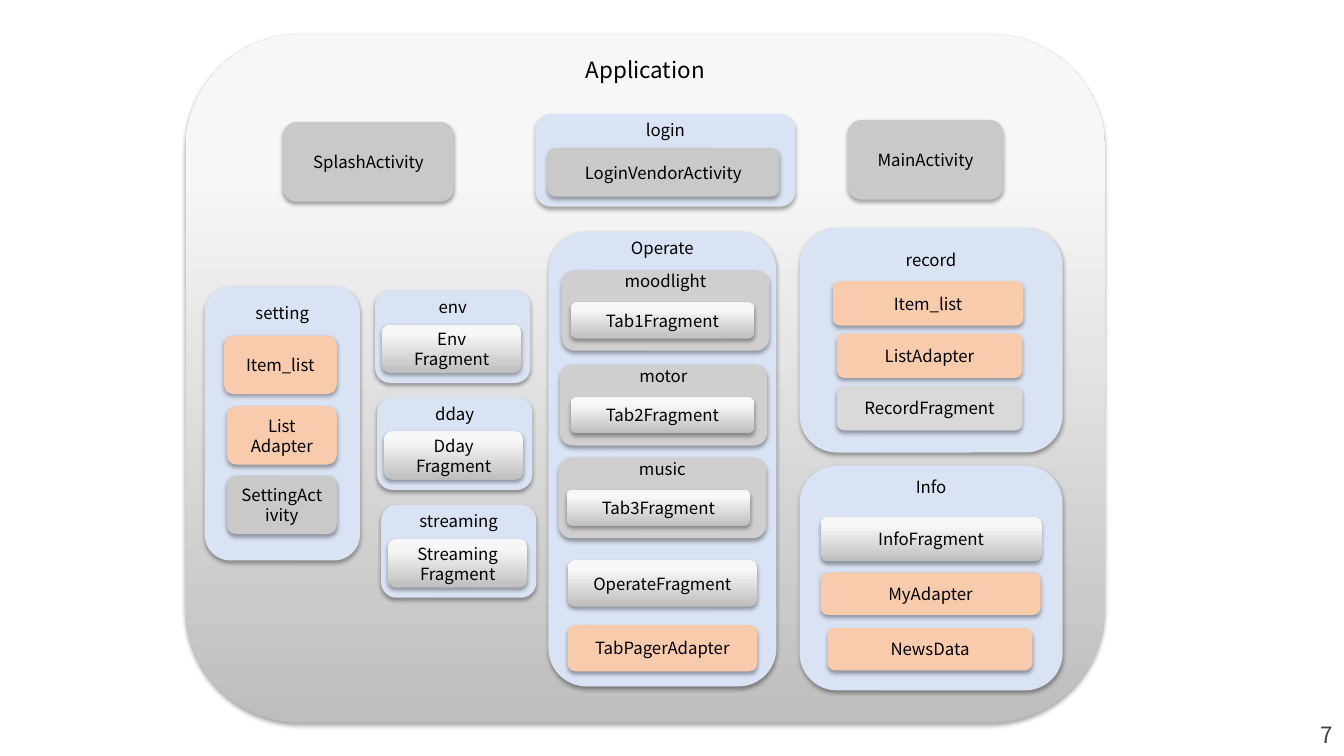
"""Build the slide showing the package structure of the application."""
from lxml import etree
from pptx import Presentation
from pptx.dml.color import RGBColor
from pptx.enum import shapes, text
from pptx.oxml import ns
from pptx.util import Inches, Pt

FONT = "Noto Sans CJK KR"
BLACK = RGBColor(0x00, 0x00, 0x00)
DARK_GRAY = RGBColor(0x40, 0x40, 0x40)
BLUE = RGBColor(0xDA, 0xE3, 0xF3)
ORANGE = RGBColor(0xF8, 0xCB, 0xAD)
GRAY = RGBColor(0xC9, 0xC9, 0xC9)
LIGHT_GRAY = RGBColor(0xD9, 0xD9, 0xD9)
WARM_GRAY = RGBColor(0xD0, 0xCE, 0xCE)
GRADIENT_BOTTOM = RGBColor(0xBE, 0xBE, 0xBE)
GRADIENT_TOP = RGBColor(0xF7, 0xF7, 0xF7)
GRADIENT = (GRADIENT_BOTTOM, GRADIENT_TOP)
CORNER_INSET = 0.29 / 6

presentation = Presentation()
presentation.slide_width = Inches(13.33)
presentation.slide_height = Inches(7.5)
slide = presentation.slides.add_slide(presentation.slide_layouts[6])


def write(shape, wording, size=12, color=BLACK):
    """Fill a shape with centred text."""
    shape.text_frame.text = wording
    for paragraph in shape.text_frame.paragraphs:
        paragraph.alignment = text.PP_ALIGN.CENTER
        for run in paragraph.runs:
            run.font.name = FONT
            run.font.size = Pt(size)
            run.font.color.rgb = color


def add_box(wording, left, top, width, height, fill, heading=None, size=12):
    """Add a shadowed rounded box; heading is the text's distance from the top."""
    shape = slide.shapes.add_shape(
        shapes.MSO_SHAPE.ROUNDED_RECTANGLE,
        Inches(left), Inches(top), Inches(width), Inches(height))
    if fill == GRADIENT:
        shape.fill.gradient()
        shape.fill.gradient_angle = 90
        for stop, color, position in zip(shape.fill.gradient_stops, fill, (0, 0.8)):
            stop.color.rgb = color
            stop.position = position
    else:
        shape.fill.solid()
        shape.fill.fore_color.rgb = fill
    shape.line.fill.background()
    shape.shadow.inherit = False
    effects = shape._element.spPr.find(ns.qn("a:effectLst"))
    shadow = etree.SubElement(
        effects, ns.qn("a:outerShdw"), blurRad=str(Pt(3.1)), dist=str(Pt(1.8)),
        dir="5400000", rotWithShape="0")
    color = etree.SubElement(shadow, ns.qn("a:srgbClr"), val="000000")
    etree.SubElement(color, ns.qn("a:alpha"), val="35000")
    frame = shape.text_frame
    frame.word_wrap = True
    frame.vertical_anchor = text.MSO_ANCHOR.MIDDLE
    if heading is not None:
        frame.vertical_anchor = text.MSO_ANCHOR.TOP
        frame.margin_top = Inches(heading - CORNER_INSET * min(width, height))
    write(shape, wording, size)


page_number = slide.shapes.add_textbox(
    Inches(12.99), Inches(7.11), Inches(0.33), Inches(0.37))
page_number.text_frame.word_wrap = False
write(page_number, "7", 16, DARK_GRAY)

add_box("Application", 1.84, 0.34, 9.12, 6.83, GRADIENT, 0.21, 16)

packages = [
    ("login", 5.31, 1.13, 2.58, 0.92, 0.06),
    ("setting", 2.03, 2.84, 1.54, 2.72, 0.16),
    ("Operate", 5.44, 2.3, 2.26, 4.51, 0.06),
    ("record", 7.93, 2.26, 2.61, 2.23, 0.22),
    ("Info", 7.93, 4.62, 2.61, 2.23, 0.11),
]
for name, left, top, width, height, heading in packages:
    add_box(name, left, top, width, height, BLUE, heading)

fragment_packages = [
    ("env", "Env", 3.72, 2.88),
    ("dday", "Dday", 3.74, 3.94),
    ("streaming", "Streaming", 3.78, 5.01),
]
for name, prefix, left, top in fragment_packages:
    add_box(name, left, top, 1.54, 0.92, BLUE, 0.06)
    add_box(f"{prefix}\nFragment", left + 0.07, top + 0.34, 1.38, 0.48, GRADIENT)

tabs = [
    ("moodlight", 5.57, 5.66, 2.68),
    ("motor", 5.55, 5.66, 3.62),
    ("music", 5.54, 5.62, 4.54),
]
for number, (name, left, fragment_left, top) in enumerate(tabs, 1):
    add_box(name, left, top, 2.06, 0.8, WARM_GRAY, 0.01)
    add_box(f"Tab{number}Fragment", fragment_left, top + 0.32, 1.82, 0.36, GRADIENT)

classes = [
    ("SplashActivity", 2.81, 1.21, 1.69, 0.79, GRAY),
    ("LoginVendorActivity", 5.43, 1.47, 2.3, 0.48, GRAY),
    ("MainActivity", 8.41, 1.19, 1.54, 0.79, GRAY),
    ("Item_list", 2.22, 3.33, 1.12, 0.58, ORANGE),
    ("List\nAdapter", 2.25, 4.03, 1.09, 0.58, ORANGE),
    ("SettingActivity", 2.25, 4.72, 1.09, 0.58, GRAY),
    ("OperateFragment", 5.63, 5.56, 1.88, 0.46, GRADIENT),
    ("TabPagerAdapter", 5.63, 6.2, 1.88, 0.46, ORANGE),
    ("Item_list", 8.26, 2.79, 1.89, 0.44, ORANGE),
    ("ListAdapter", 8.3, 3.31, 1.84, 0.44, ORANGE),
    ("RecordFragment", 8.3, 3.83, 1.84, 0.44, LIGHT_GRAY),
    ("InfoFragment", 8.14, 5.13, 2.19, 0.44, GRADIENT),
    ("MyAdapter", 8.14, 5.68, 2.18, 0.42, ORANGE),
    ("NewsData", 8.21, 6.23, 2.03, 0.42, ORANGE),
]
for name, left, top, width, height, fill in classes:
    add_box(name, left, top, width, height, fill)

presentation.save("out.pptx")
